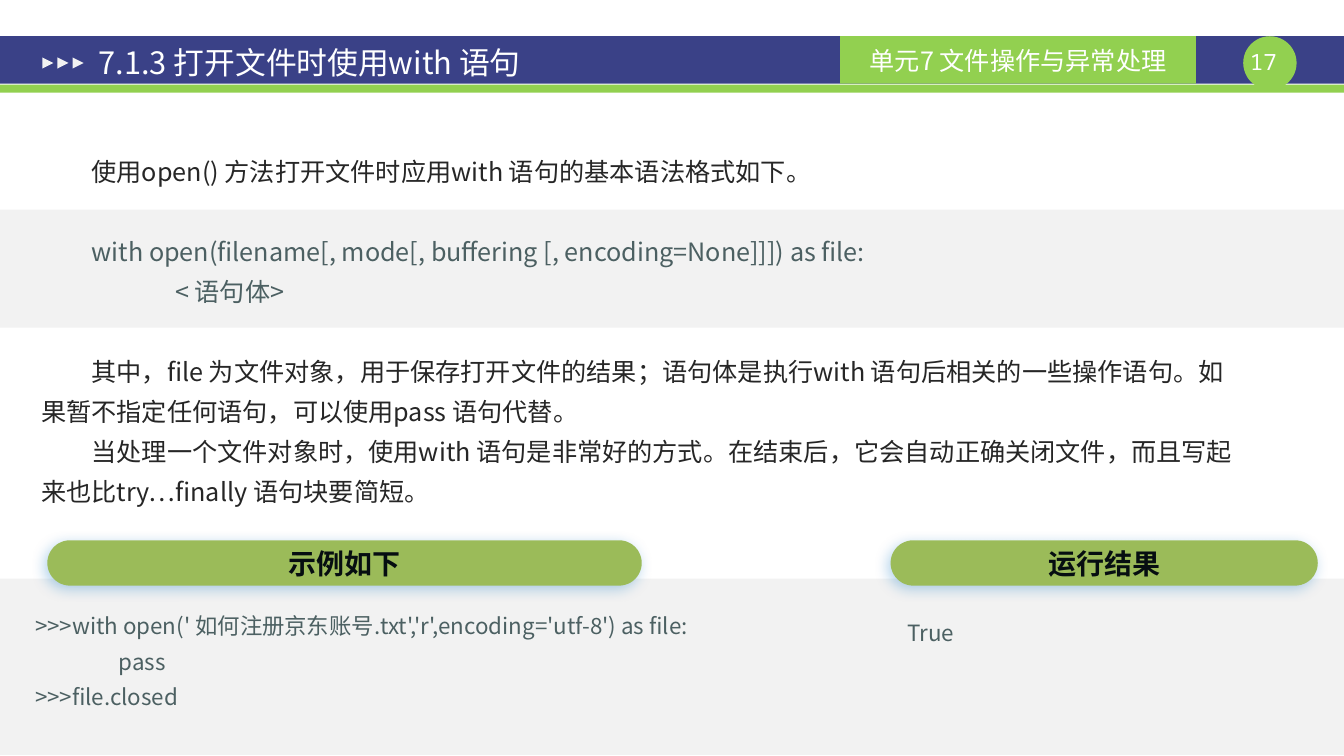
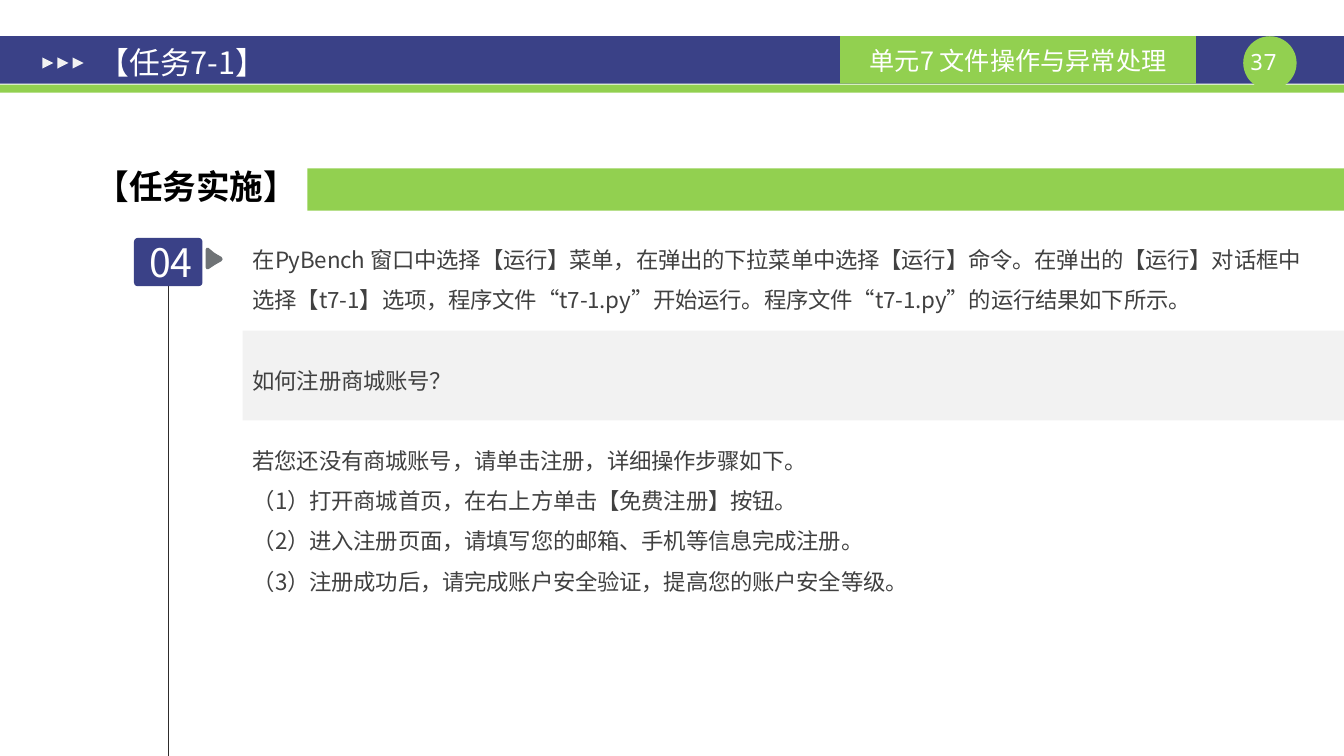
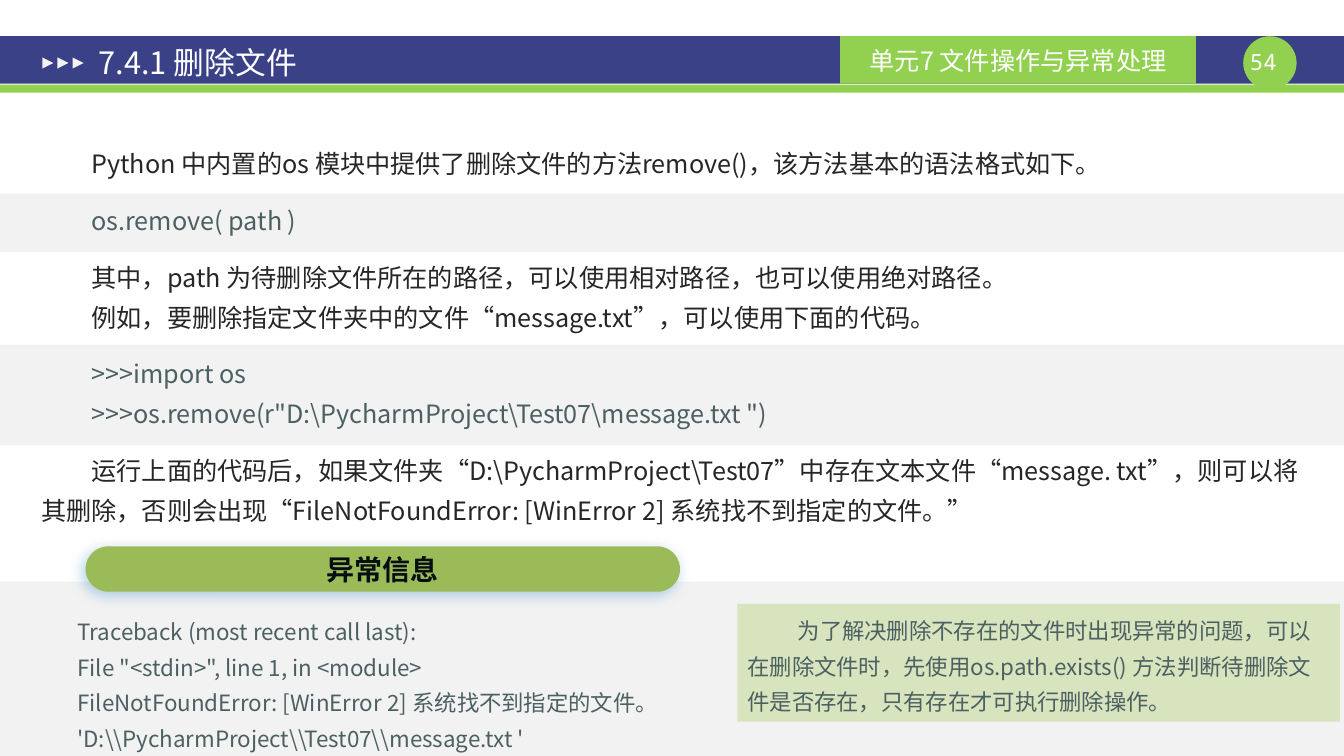
from dataclasses import dataclass

from lxml import etree
from pptx import Presentation
from pptx import util as u
from pptx.dml.color import RGBColor
from pptx.enum import shapes, text
from pptx.oxml import ns

PX = 9144
WIDTH, HEIGHT = 1334, 750
LEFT, CENTER = text.PP_ALIGN.LEFT, text.PP_ALIGN.CENTER
TOP, MIDDLE = text.MSO_ANCHOR.TOP, text.MSO_ANCHOR.MIDDLE
KIND = shapes.MSO_SHAPE


@dataclass(frozen=True)
class Theme:
    font: str = "Noto Sans CJK SC"
    digits: str = "Noto Sans Mono"
    navy: str = "3A4187"
    lime: str = "92D050"
    olive: str = "9BBB59"
    note: str = "D7E4BD"
    glow: str = "0070C0"
    pale: str = "F2F2F2"
    white: str = "FFFFFF"
    black: str = "000000"
    pill_ink: str = "060E11"
    ink: str = "262626"
    step_ink: str = "404040"
    code: str = "4C6062"
    rule: str = "2E2C2C"
    arrow: str = "6F7376"
    small: int = 16
    body: int = 18
    label: int = 20
    title: int = 22
    heading: int = 24
    badge: int = 28
    loose: float = 1.32
    looser: float = 1.5
    line_gap: float = 28.6
    code_gap: int = 12


THEME = Theme()


@dataclass(frozen=True)
class Para:
    words: str
    color: str = THEME.ink
    gap: float = 0
    indent: int = 50


def code(words, gap=0, indent=50):
    return Para(words, THEME.code, gap, indent)


def step(words, gap=0):
    return Para(words, THEME.step_ink, gap, 0)


def px(*lengths):
    return [u.Emu(length * PX) for length in lengths]


class Deck:
    def __init__(self):
        self.file = Presentation()
        self.file.slide_width, self.file.slide_height = px(WIDTH, HEIGHT)
        self.layout = self.file.slide_layouts[5]
        self.slide = None

    def add_slide(self, title, number):
        first = self.slide is None
        self.slide = self.file.slides.add_slide(self.layout)
        if first:
            self.share_header()
        heading = self.slide.shapes.title
        heading.left, heading.top, heading.width, heading.height = px(85, 40, 720, 44)
        self.set_text(heading.text_frame, [Para(title, THEME.white, 0, 0)], THEME.title,
                      anchor=MIDDLE, insets=(13, 7, 13, 7))
        self.text_box(1234, 48, 40, 27, [Para(number, THEME.white, 0, 0)], THEME.small,
                      align=CENTER, insets=(0, 0, 0, 0), font=THEME.digits)

    def share_header(self):
        unit = self.block(834, 36, 353, 47, THEME.lime)
        self.set_text(unit.text_frame, [Para("单元7 文件操作与异常处理", THEME.white, 0, 0)],
                      THEME.body, align=CENTER, anchor=MIDDLE)
        header = [self.block(0, 36, WIDTH, 47, THEME.navy),
                  self.block(0, 84, WIDTH, 8, THEME.lime),
                  self.block(1234, 36, 53, 53, THEME.lime, KIND.OVAL),
                  unit]
        for i in range(3):
            marker = self.block(42 + 15 * i, 57, 11, 11, THEME.pale, KIND.ISOSCELES_TRIANGLE)
            marker.rotation = 90
            header.append(marker)
        for part in header:
            self.layout.shapes._spTree.append(part._element)

    def paint(self, shape, color):
        shape.shadow.inherit = False
        shape.fill.solid()
        shape.fill.fore_color.rgb = RGBColor.from_string(color)
        shape.line.fill.background()
        return shape

    def block(self, x, y, w, h, color, kind=KIND.RECTANGLE):
        return self.paint(self.slide.shapes.add_shape(kind, *px(x, y, w, h)), color)

    def band(self, y, h, x=0):
        self.block(x, y, WIDTH - x, h, THEME.pale)

    def outline(self, points, color):
        builder = self.slide.shapes.build_freeform(*points[0], scale=PX)
        builder.add_line_segments(points[1:], close=True)
        self.paint(builder.convert_to_shape(), color)

    def pill(self, x, y, w, words):
        pill = self.block(x, y, w, 45, THEME.olive, KIND.ROUNDED_RECTANGLE)
        pill.adjustments[0] = 0.5
        effects = pill._element.spPr.find(ns.qn("a:effectLst"))
        shadow = etree.SubElement(effects, ns.qn("a:outerShdw"), blurRad=str(u.Pt(10)),
                                  dist=str(u.Pt(3)), dir=str(135 * 60000),
                                  algn="tr", rotWithShape="0")
        tint = etree.SubElement(shadow, ns.qn("a:srgbClr"), val=THEME.glow)
        etree.SubElement(tint, ns.qn("a:alpha"), val="30000")
        self.set_text(pill.text_frame, [Para(words, THEME.pill_ink, 0, 0)], THEME.label,
                      align=CENTER, anchor=MIDDLE, bold=True)

    def badge(self, x, y, w, h, words):
        badge = self.block(x, y, w, h, THEME.navy, KIND.ROUNDED_RECTANGLE)
        badge.adjustments[0] = 0.08
        self.set_text(badge.text_frame, [Para(words, THEME.white, 0, 0)], THEME.badge,
                      align=CENTER, anchor=MIDDLE, insets=(5, 0, 0, 0))
        return badge

    def drop_line(self, source, x, y):
        line = self.slide.shapes.add_connector(
            shapes.MSO_CONNECTOR.STRAIGHT, *px(x, y, x, HEIGHT))
        line.begin_connect(source, 2)
        line.line.color.rgb = RGBColor.from_string(THEME.rule)
        line.line.width = u.Pt(1)
        etree.SubElement(line._element.spPr, ns.qn("a:effectLst"))

    def text_box(self, x, y, w, h, paras, size, **style):
        box = self.slide.shapes.add_textbox(*px(x, y, w, h))
        self.set_text(box.text_frame, paras, size, **style)

    def note(self, x, y, w, h, words):
        note = self.block(x, y, w, h, THEME.note)
        self.set_text(note.text_frame, [code(words)], THEME.small, spacing=THEME.loose)

    def set_text(self, frame, paras, size, align=LEFT, anchor=TOP, insets=(10, 5, 10, 5),
                 spacing=1.0, bold=False, tracking=0, font=THEME.font):
        frame.word_wrap = True
        frame.auto_size = text.MSO_AUTO_SIZE.NONE
        frame.vertical_anchor = anchor
        (frame.margin_left, frame.margin_top,
         frame.margin_right, frame.margin_bottom) = px(*insets)
        for i, para in enumerate(paras):
            line = frame.add_paragraph() if i else frame.paragraphs[0]
            line.alignment = align
            line.line_spacing = spacing
            if para.gap:
                line.space_before = u.Pt(para.gap)
            if para.indent:
                settings = line._p.get_or_add_pPr()
                settings.set("marL", "0")
                settings.set("indent", str(para.indent * PX))
            run = line.add_run()
            run.text = para.words
            run.font.size = u.Pt(size)
            run.font.bold = bold
            run.font.color.rgb = RGBColor.from_string(para.color)
            run.font.name = font
            letters = run._r.get_or_add_rPr()
            etree.SubElement(letters, ns.qn("a:ea"), typeface=font)
            if tracking:
                letters.set("spc", str(tracking))


def with_statement(deck):
    deck.add_slide("7.1.3 打开文件时使用with 语句", "17")
    deck.band(208, 117)
    deck.text_box(31, 141, 1211, 370, [
        Para("使用open() 方法打开文件时应用with 语句的基本语法格式如下。"),
        code("with open(filename[, mode[, buffering [, encoding=None]]]) as file:",
             THEME.line_gap),
        code("< 语句体>", indent=133),
        Para("其中，file 为文件对象，用于保存打开文件的结果；语句体是执行with 语句后相关的"
             "一些操作语句。如果暂不指定任何语句，可以使用pass 语句代替。", gap=THEME.line_gap),
        Para("当处理一个文件对象时，使用with 语句是非常好的方式。在结束后，它会自动正确关闭文件，"
             "而且写起来也比try…finally 语句块要简短。"),
    ], THEME.body, spacing=THEME.loose)
    deck.band(574, 175)
    deck.pill(47, 536, 590, "示例如下")
    deck.text_box(-25, 594, 802, 117, [
        code(">>>with open(' 如何注册京东账号.txt','r',encoding='utf-8') as file:"),
        code("pass", indent=133),
        code(">>>file.closed"),
    ], THEME.small, spacing=THEME.loose)
    deck.pill(884, 536, 424, "运行结果")
    deck.text_box(841, 601, 434, 42, [code("True")], THEME.small, spacing=THEME.loose)


def task_steps(deck):
    deck.add_slide("【任务7-1】", "37")
    deck.band(328, 89, x=241)
    badge = deck.badge(133, 236, 68, 48, "04")
    deck.drop_line(badge, 167, 284)
    deck.outline([(204, 248), (205, 246), (207, 246), (213, 251), (220, 255), (221, 257),
                  (220, 259), (213, 263), (207, 267), (205, 267), (204, 265)], THEME.arrow)
    deck.block(305, 167, WIDTH - 305, 42, THEME.lime)
    deck.text_box(85, 160, 262, 50, [Para("【任务实施】", THEME.black, 0, 0)],
                  THEME.heading, bold=True)
    deck.text_box(241, 226, 1068, 374, [
        step("在PyBench 窗口中选择【运行】菜单，在弹出的下拉菜单中选择【运行】命令。"
             "在弹出的【运行】对话框中选择【t7-1】选项，程序文件“t7-1.py”开始运行。"
             "程序文件“t7-1.py”的运行结果如下所示。"),
        step("如何注册商城账号？", THEME.line_gap),
        step("若您还没有商城账号，请单击注册，详细操作步骤如下。", THEME.line_gap),
        step("（1）打开商城首页，在右上方单击【免费注册】按钮。"),
        step("（2）进入注册页面，请填写您的邮箱、手机等信息完成注册。"),
        step("（3）注册成功后，请完成账户安全验证，提高您的账户安全等级。"),
    ], THEME.small, spacing=THEME.looser, tracking=-10)


def file_removal(deck):
    deck.add_slide("7.4.1 删除文件", "54")
    for y, h in ((192, 58), (342, 100), (577, 173)):
        deck.band(y, h)
    deck.text_box(31, 133, 1277, 397, [
        Para("Python 中内置的os 模块中提供了删除文件的方法remove()，该方法基本的语法格式如下。"),
        code("os.remove( path )", THEME.code_gap),
        Para("其中，path 为待删除文件所在的路径，可以使用相对路径，也可以使用绝对路径。",
             gap=THEME.code_gap),
        Para("例如，要删除指定文件夹中的文件“message.txt”，可以使用下面的代码。"),
        code(">>>import os", THEME.code_gap),
        code(r'>>>os.remove(r"D:\PycharmProject\Test07\message.txt ")'),
        Para(r"运行上面的代码后，如果文件夹“D:\PycharmProject\Test07”中存在文本文件"
             "“message. txt”，则可以将其删除，否则会出现"
             "“FileNotFoundError: [WinError 2] 系统找不到指定的文件。”", gap=THEME.code_gap),
    ], THEME.body, spacing=THEME.loose)
    deck.pill(85, 542, 590, "异常信息")
    deck.text_box(17, 600, 700, 152, [
        code("Traceback (most recent call last):"),
        code('File "<stdin>", line 1, in <module>'),
        code("FileNotFoundError: [WinError 2] 系统找不到指定的文件。"),
        code(r"'D:\\PycharmProject\\Test07\\message.txt '"),
    ], THEME.small, spacing=THEME.loose)
    deck.note(732, 599, 598, 117,
              "为了解决删除不存在的文件时出现异常的问题，可以在删除文件时，先使用os.path.exists() "
              "方法判断待删除文件是否存在，只有存在才可执行删除操作。")


def main():
    deck = Deck()
    for build in (with_statement, task_steps, file_removal):
        build(deck)
    deck.file.save("out.pptx")


if __name__ == "__main__":
    main()
